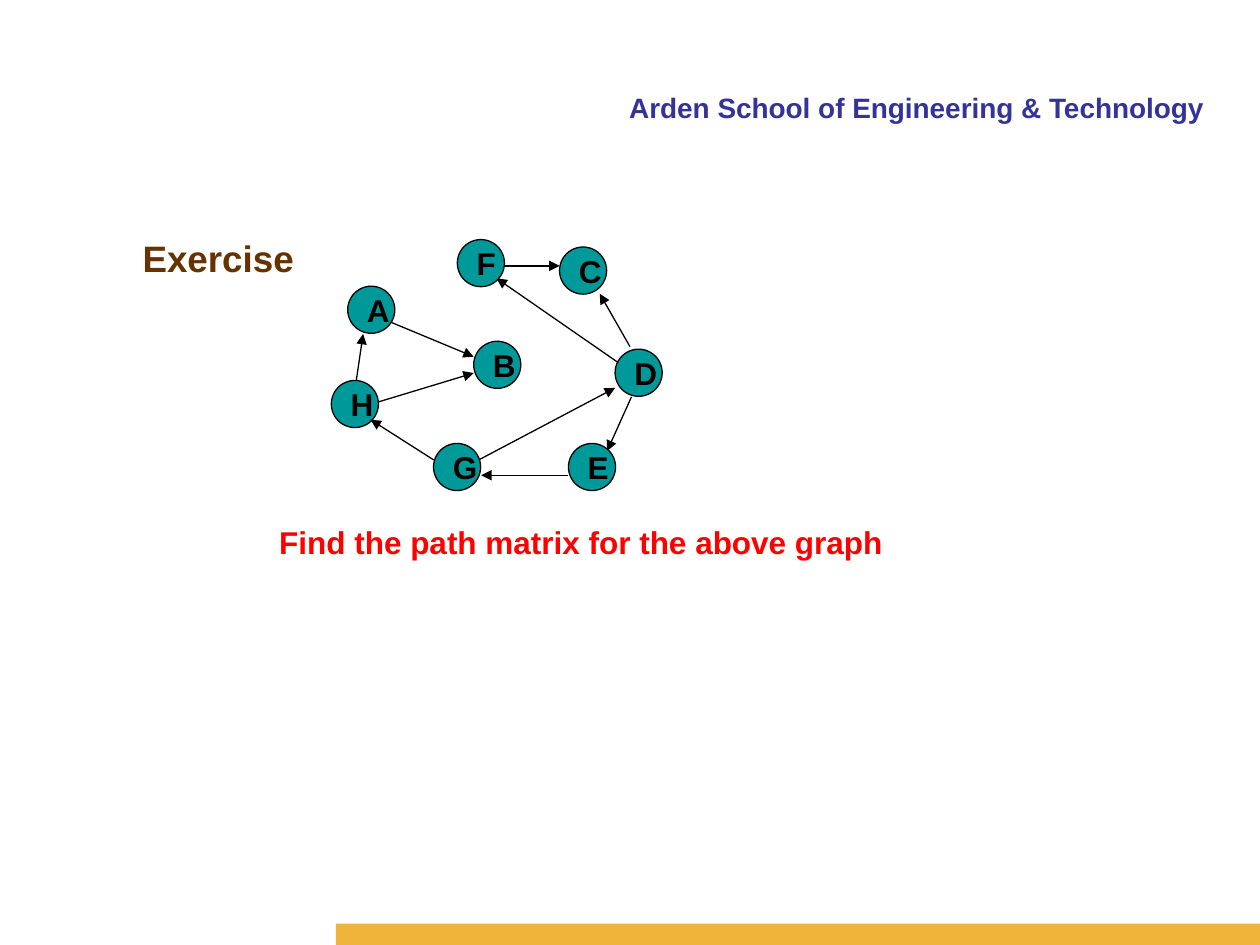
from lxml import etree
from pptx import Presentation
from pptx.dml.color import RGBColor
from pptx.enum.shapes import MSO_CONNECTOR, MSO_SHAPE
from pptx.enum.text import MSO_ANCHOR, MSO_AUTO_SIZE, PP_ALIGN
from pptx.oxml.ns import qn
from pptx.util import Cm, Pt

STRAIGHT = MSO_CONNECTOR.STRAIGHT
OVAL, RECTANGLE = MSO_SHAPE.OVAL, MSO_SHAPE.RECTANGLE
LEFT, RIGHT = PP_ALIGN.LEFT, PP_ALIGN.RIGHT
TOP, MIDDLE = MSO_ANCHOR.TOP, MSO_ANCHOR.MIDDLE

# Content (positions in cm)
SCHOOL = "Arden School of Engineering & Technology"
HEADING = "Exercise"
TASK = "Find the path matrix for the above graph"
NODES = {
    "A": (7.01, 5.77), "H": (6.68, 7.67), "B": (9.55, 6.88), "F": (9.22, 4.83),
    "E": (11.46, 8.94), "D": (12.4, 7.04), "C": (11.28, 4.98), "G": (8.74, 8.94),
}
EDGES_BEHIND = [
    ((12.55, 7.37), (10.01, 5.61)),  # D to F
    ((12.73, 8.0), (12.24, 9.09)),   # D to E
    ((7.47, 8.15), (9.55, 7.52)),    # H to B
    ((9.37, 9.42), (12.4, 7.82)),    # G to D
    ((7.16, 7.82), (7.32, 6.73)),    # H to A
    ((7.65, 6.4), (9.55, 7.19)),     # A to B
    ((12.7, 6.99), (12.09, 5.92)),   # D to C
]
EDGES_IN_FRONT = [
    ((11.46, 9.58), (9.7, 9.58)),    # E to G
    ((8.74, 9.27), (7.47, 8.46)),    # G to H
    ((10.19, 5.36), (11.28, 5.36)),  # F to C
]
NODE_SIZE = 0.95

THEME = {
    "font": "Arial",
    "school": (16, RGBColor(0x33, 0x33, 0x99)),
    "heading": (21, RGBColor(0x66, 0x33, 0x00)),
    "task": (18, RGBColor(0xFF, 0x00, 0x00)),
    "label": (18, RGBColor(0x00, 0x00, 0x00)),
    "node": RGBColor(0x00, 0x99, 0x99),
    "line": RGBColor(0x00, 0x00, 0x00),
    "bar": RGBColor(0xF1, 0xB4, 0x3B),
    "line_width": Pt(0.75),
}


def write(shape, text, style, align=LEFT, anchor=TOP, wrap=True):
    frame = shape.text_frame
    frame.text = text
    frame.word_wrap = wrap
    frame.auto_size = MSO_AUTO_SIZE.NONE
    frame.vertical_anchor = anchor
    paragraph = frame.paragraphs[0]
    paragraph.alignment = align
    size, color = THEME[style]
    paragraph.font.name = THEME["font"]
    paragraph.font.size = Pt(size)
    paragraph.font.bold = True
    paragraph.font.color.rgb = color


def add_edge(slide, start, end):
    edge = slide.shapes.add_connector(STRAIGHT, *map(Cm, start + end))
    edge.line.color.rgb = THEME["line"]
    edge.line.width = THEME["line_width"]
    etree.SubElement(edge.line._get_or_add_ln(), qn("a:tailEnd"), type="triangle")
    etree.SubElement(edge._element.spPr, qn("a:effectLst"))


def add_node(slide, label, left, top):
    node = slide.shapes.add_shape(OVAL, Cm(left), Cm(top), Cm(NODE_SIZE), Cm(NODE_SIZE))
    node.shadow.inherit = False
    node.fill.solid()
    node.fill.fore_color.rgb = THEME["node"]
    node.line.color.rgb = THEME["line"]
    node.line.width = THEME["line_width"]
    write(node, label, "label", anchor=MIDDLE, wrap=False)


def main():
    deck = Presentation()
    deck.slide_width, deck.slide_height = Cm(25.4), Cm(19.05)
    slide = deck.slides.add_slide(deck.slide_layouts[5])

    # School name and footer bar
    school = slide.shapes.add_textbox(Cm(10.36), Cm(1.7), Cm(14.17), Cm(0.84))
    write(school, SCHOOL, "school", align=RIGHT)
    bar = slide.shapes.add_shape(RECTANGLE, Cm(6.77), Cm(18.62), Cm(18.63), Cm(0.43))
    bar.shadow.inherit = False
    bar.fill.solid()
    bar.fill.fore_color.rgb = THEME["bar"]
    bar.line.fill.background()

    # Heading
    heading = slide.shapes.title
    heading.left, heading.top = Cm(2.62), Cm(4.62)
    heading.width, heading.height = Cm(10.08), Cm(1.14)
    write(heading, HEADING, "heading")

    # Directed graph
    for start, end in EDGES_BEHIND:
        add_edge(slide, start, end)
    for label, (left, top) in NODES.items():
        add_node(slide, label, left, top)
    for start, end in EDGES_IN_FRONT:
        add_edge(slide, start, end)

    # Task
    task = slide.shapes.add_textbox(Cm(5.38), Cm(10.41), Cm(12.8), Cm(1.02))
    write(task, TASK, "task", wrap=False)

    deck.save("out.pptx")


if __name__ == "__main__":
    main()
